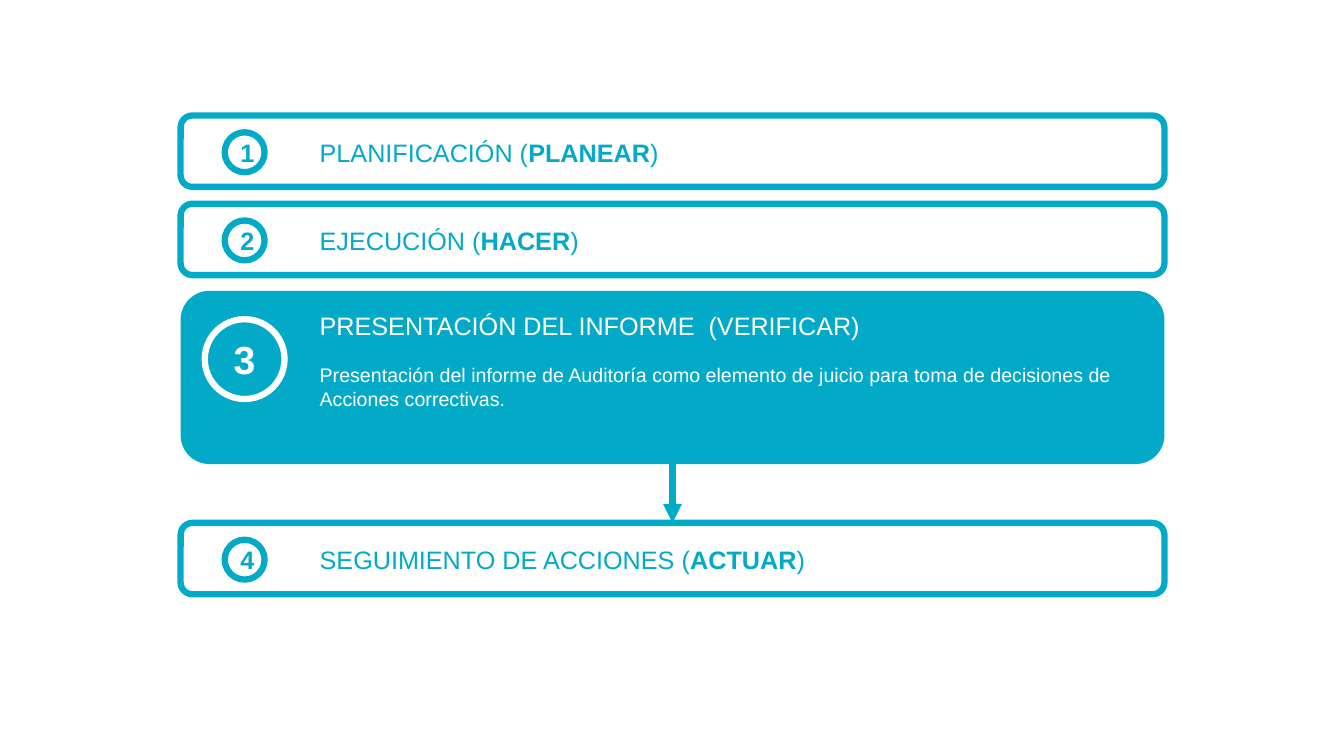
from lxml import etree
from pptx import Presentation
from pptx.dml.color import RGBColor
from pptx.enum.shapes import MSO_CONNECTOR, MSO_SHAPE
from pptx.enum.text import MSO_ANCHOR, MSO_AUTO_SIZE, PP_ALIGN
from pptx.oxml.ns import qn
from pptx.util import Emu, Pt

TEAL = RGBColor(0x02, 0xAA, 0xC7)
WHITE = RGBColor(0xFF, 0xFF, 0xFF)
FONT = "Arial"
STROKE = Pt(4.5)

ACTIVE_STEP = {
    "number": "3",
    "heading": "PRESENTACIÓN DEL INFORME  (VERIFICAR)",
    "detail": "Presentación del informe de Auditoría como elemento de juicio "
              "para toma de decisiones de Acciones correctivas.",
}
STEPS = [
    ("1", "PLANIFICACIÓN (", "PLANEAR", 110),
    ("2", "EJECUCIÓN (", "HACER", 194),
    ("4", "SEGUIMIENTO DE ACCIONES (", "ACTUAR", 498),
]

PAGE_W, PAGE_H = 1280, 720
BAR_X, BAR_W, BAR_H = 172, 937, 68
ACTIVE_Y, ACTIVE_H = 277, 165
BADGE_CENTER_X = 233
BADGE, ACTIVE_BADGE = 38, 76
LABEL_X, LABEL_W, LABEL_H = 295, 796, 38
LABEL_OFFSET = 16


def px(length):
    """Turn slide pixels into EMU."""
    return Emu(int(length * 9525))


def write(para, text, size=18, color=TEAL, bold=False):
    """Append one formatted run to a paragraph."""
    span = para.add_run()
    span.text = text
    span.font.name = FONT
    span.font.size = Pt(size)
    span.font.bold = bold
    span.font.color.rgb = color


def add_shape(page, preset, x, y, width, height, fill, line=None):
    """Add a flat preset shape with an optional outline."""
    shape = page.shapes.add_shape(preset, px(x), px(y), px(width), px(height))
    shape.shadow.inherit = False
    shape.fill.solid()
    shape.fill.fore_color.rgb = fill
    if line is None:
        shape.line.fill.background()
    else:
        shape.line.color.rgb = line
        shape.line.width = STROKE
    return shape


def add_badge(page, number, y, diameter, fill, color, size):
    """Add a numbered circle on the badge axis."""
    x = BADGE_CENTER_X - diameter // 2
    badge = add_shape(page, MSO_SHAPE.OVAL, x, y, diameter, diameter, fill, color)
    badge.text_frame.vertical_anchor = MSO_ANCHOR.MIDDLE
    para = badge.text_frame.paragraphs[0]
    para.alignment = PP_ALIGN.CENTER
    write(para, number, size=size, color=color, bold=True)


def add_label(page, y, height):
    """Add a wrapping text box in the label column and return its frame."""
    box = page.shapes.add_textbox(px(LABEL_X), px(y), px(LABEL_W), px(height))
    box.text_frame.word_wrap = True
    box.text_frame.auto_size = MSO_AUTO_SIZE.SHAPE_TO_FIT_TEXT
    return box.text_frame


def add_active_step(page):
    """Add the highlighted step and return its panel."""
    panel = add_shape(page, MSO_SHAPE.ROUNDED_RECTANGLE,
                      BAR_X, ACTIVE_Y, BAR_W, ACTIVE_H, TEAL)
    add_badge(page, ACTIVE_STEP["number"], ACTIVE_Y + 27, ACTIVE_BADGE, TEAL, WHITE, 28)
    frame = add_label(page, ACTIVE_Y + 14, 107)
    write(frame.paragraphs[0], ACTIVE_STEP["heading"], color=WHITE)
    para = frame.add_paragraph()
    para.space_before = Pt(16)
    write(para, ACTIVE_STEP["detail"], size=14, color=WHITE)
    return panel


def add_step(page, number, phase, action, y):
    """Add an outlined step and return its bar."""
    bar = add_shape(page, MSO_SHAPE.ROUNDED_RECTANGLE,
                    BAR_X, y, BAR_W, BAR_H, WHITE, TEAL)
    add_badge(page, number, y + LABEL_OFFSET, BADGE, WHITE, TEAL, 18)
    para = add_label(page, y + LABEL_OFFSET, LABEL_H).paragraphs[0]
    write(para, phase)
    write(para, action, bold=True)
    write(para, ")")
    return bar


def add_arrow(page, source, target):
    """Join the bottom of one shape to the top of another."""
    arrow = page.shapes.add_connector(MSO_CONNECTOR.STRAIGHT, 0, 0, 0, 0)
    arrow.begin_connect(source, 2)
    arrow.end_connect(target, 0)
    arrow.line.color.rgb = TEAL
    arrow.line.width = STROKE
    etree.SubElement(arrow.line._get_or_add_ln(), qn("a:tailEnd"), type="triangle")
    etree.SubElement(arrow._element.spPr, qn("a:effectLst"))


def main():
    """Build the four-step audit cycle slide."""
    deck = Presentation()
    deck.slide_width, deck.slide_height = px(PAGE_W), px(PAGE_H)
    page = deck.slides.add_slide(deck.slide_layouts[6])
    panel = add_active_step(page)
    bars = [add_step(page, *step) for step in STEPS]
    add_arrow(page, panel, bars[-1])
    deck.save("out.pptx")


if __name__ == "__main__":
    main()
